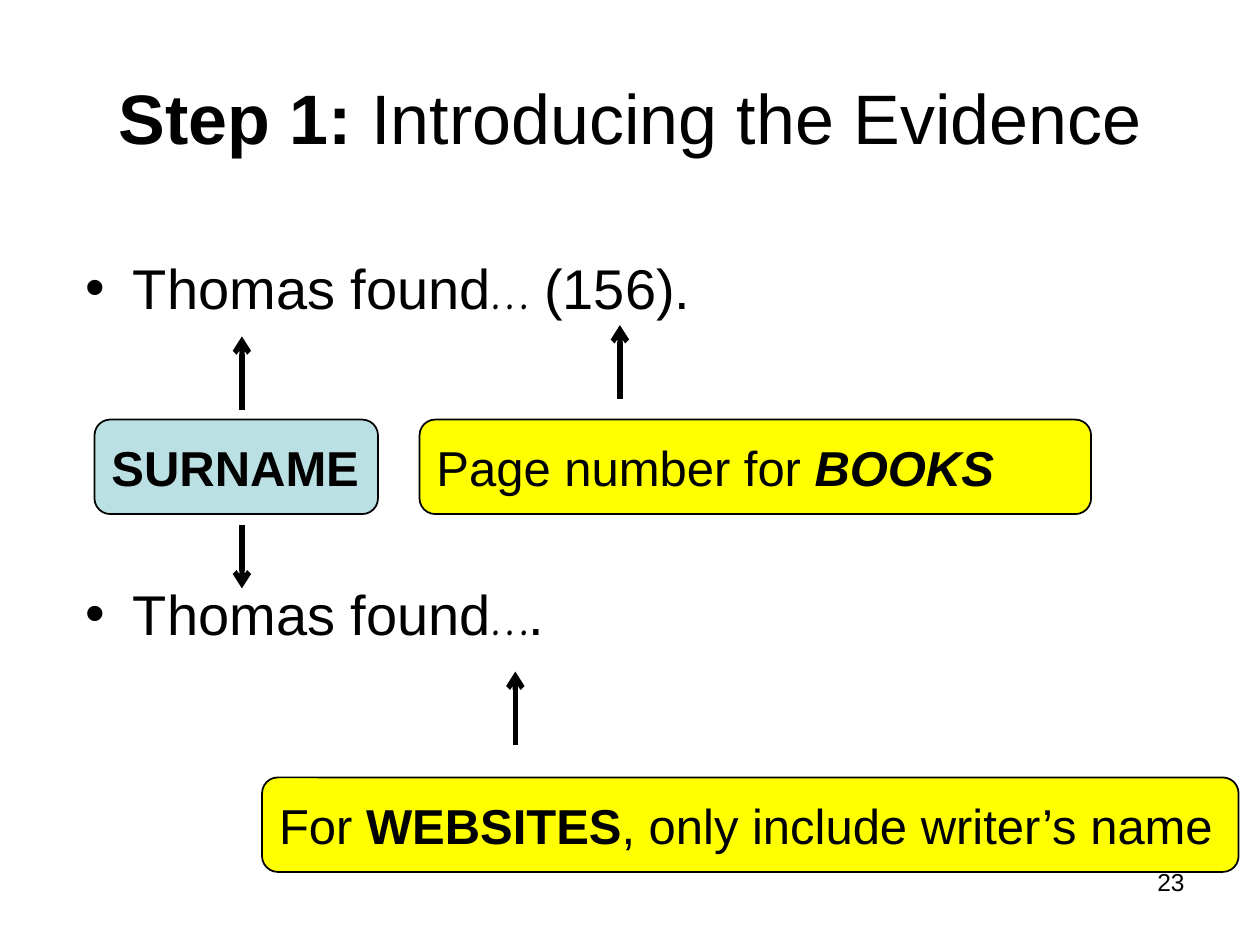
import pptx
import pptx.util
import pptx.dml.color
import pptx.enum.shapes
import pptx.enum.text
import pptx.oxml
import pptx.oxml.ns

Inches = pptx.util.Inches
Pt = pptx.util.Pt
ALIGN = pptx.enum.text.PP_ALIGN
ANCHOR = pptx.enum.text.MSO_ANCHOR

COLORS = {"ink": "000000", "surname": "BBE0E3", "rule": "FFFF00"}

TITLE = [("Step 1: ", {"bold": True}), ("Introducing the Evidence", {})]
ELLIPSIS = ("…", {"font": "Comic Neue"})
EXAMPLES = [
    [("Thomas found", {}), ELLIPSIS, (" (156).", {})],
    [("Thomas found", {}), ELLIPSIS, (".", {})],
]
EXAMPLE_GAP = 148
LABEL_HEIGHT = 0.75
LABELS = [
    (0.75, 3.33, 2.25, "surname", [("SURNAME", {"bold": True})]),
    (3.33, 3.33, 5.33, "rule",
     [("Page number for ", {}), ("BOOKS", {"bold": True, "italic": True})]),
    (2.08, 6.17, 7.75, "rule",
     [("For ", {}), ("WEBSITES", {"bold": True}), (", only include writer’s name", {})]),
]
ARROWS = [
    (1.92, 3.25, 2.67),
    (1.92, 4.17, 4.67),
    (4.92, 3.17, 2.58),
    (4.09, 5.91, 5.33),
]
PAGE_NUMBER = "23"


def rgb(name):
    return pptx.dml.color.RGBColor.from_string(COLORS[name])


def write(para, text, size=28, font="Arial", bold=False, italic=False):
    span = para.add_run()
    span.text = text
    span.font.size = Pt(size)
    span.font.name = font
    span.font.bold = bold
    span.font.italic = italic
    span.font.color.rgb = rgb("ink")


def place(box, left, top, width, height):
    box.left, box.top = Inches(left), Inches(top)
    box.width, box.height = Inches(width), Inches(height)


def add_label(page, left, top, width, fill, spans):
    box = page.shapes.add_shape(
        pptx.enum.shapes.MSO_SHAPE.ROUNDED_RECTANGLE,
        Inches(left), Inches(top), Inches(width), Inches(LABEL_HEIGHT))
    box.shadow.inherit = False
    box.fill.solid()
    box.fill.fore_color.rgb = rgb(fill)
    box.line.color.rgb = rgb("ink")
    box.line.width = Pt(1)
    frame = box.text_frame
    frame.word_wrap = True
    frame.vertical_anchor = ANCHOR.MIDDLE
    para = frame.paragraphs[0]
    para.alignment = ALIGN.LEFT
    for text, style in spans:
        write(para, text, **style)


def add_arrow(page, x, start, end):
    arrow = page.shapes.add_connector(
        pptx.enum.shapes.MSO_CONNECTOR.STRAIGHT,
        Inches(x), Inches(start), Inches(x), Inches(end))
    arrow.line.color.rgb = rgb("ink")
    arrow.line.width = Pt(3)
    head = pptx.oxml.parse_xml(
        f'<a:tailEnd {pptx.oxml.ns.nsdecls("a")} type="arrow"/>')
    arrow.line._get_or_add_ln().append(head)
    arrow._element.spPr.append(
        pptx.oxml.parse_xml(f'<a:effectLst {pptx.oxml.ns.nsdecls("a")}/>'))


def main():
    deck = pptx.Presentation()
    deck.slide_width, deck.slide_height = Inches(10), Inches(7.5)
    page = deck.slides.add_slide(deck.slide_layouts[1])

    title = page.shapes.title
    place(title, 0.5, 0.3, 9, 1.25)
    title.text_frame.auto_size = pptx.enum.text.MSO_AUTO_SIZE.NONE
    title.text_frame.vertical_anchor = ANCHOR.MIDDLE
    title_para = title.text_frame.paragraphs[0]
    title_para.alignment = ALIGN.CENTER
    for text, style in TITLE:
        write(title_para, text, size=40, **style)

    body = page.placeholders[1]
    place(body, 0.58, 1.96, 8.75, 4.62)
    frame = body.text_frame
    frame.auto_size = pptx.enum.text.MSO_AUTO_SIZE.NONE
    for index, spans in enumerate(EXAMPLES):
        para = frame.add_paragraph() if index else frame.paragraphs[0]
        para.space_before = Pt(EXAMPLE_GAP if index else 0)
        for text, style in spans:
            write(para, text, size=32, **style)

    for label in LABELS:
        add_label(page, *label)
    for arrow in ARROWS:
        add_arrow(page, *arrow)

    number = page.shapes.add_textbox(
        Inches(7.17), Inches(6.83), Inches(2.33), Inches(0.52))
    number.text_frame.word_wrap = True
    number_para = number.text_frame.paragraphs[0]
    number_para.alignment = ALIGN.RIGHT
    write(number_para, PAGE_NUMBER, size=14)

    deck.save("out.pptx")


if __name__ == "__main__":
    main()
